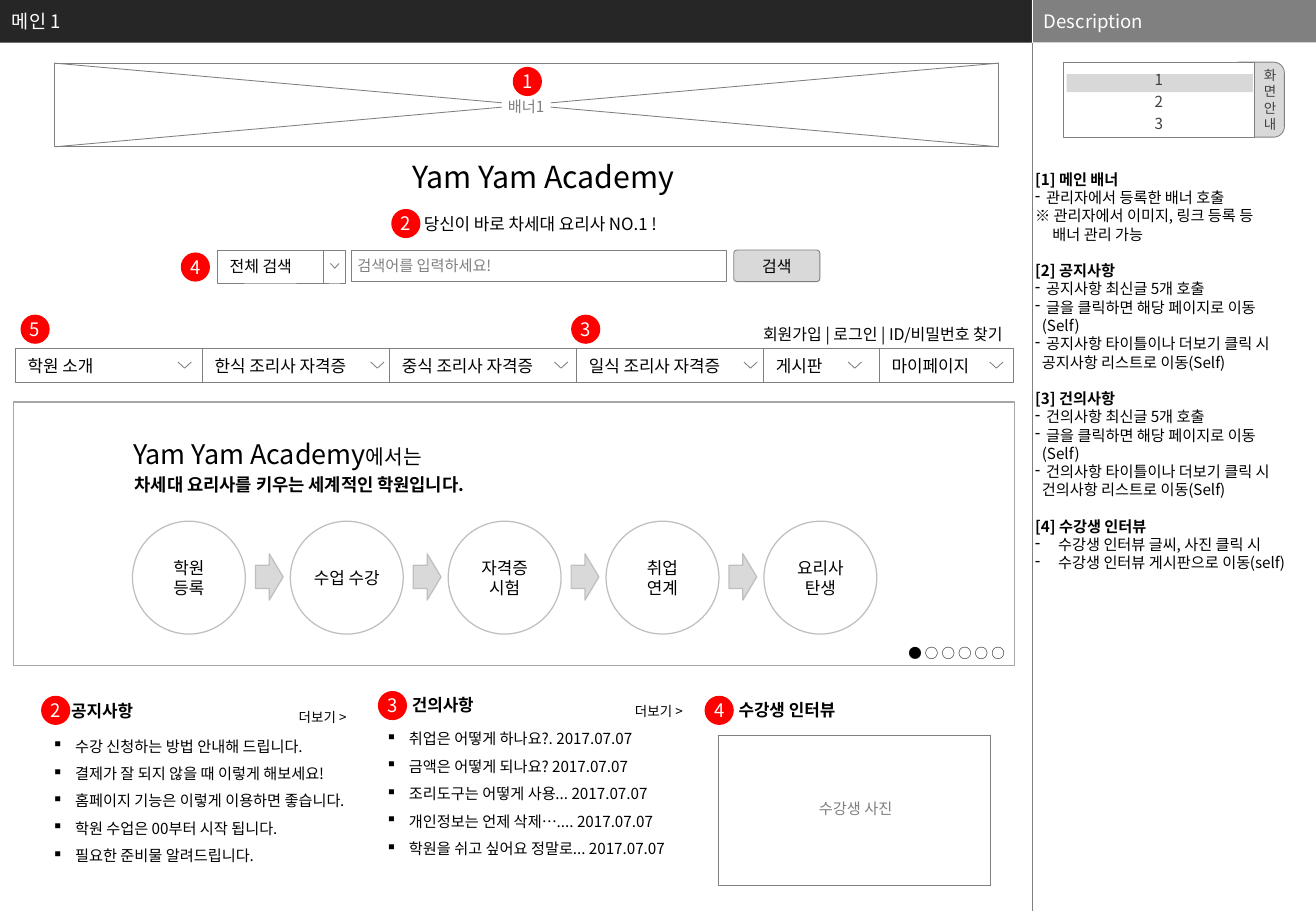
import pptx
import pptx.dml.color
import pptx.enum.shapes
import pptx.enum.text
import pptx.oxml
import pptx.oxml.ns
import pptx.util

Cm = pptx.util.Cm
Pt = pptx.util.Pt
RGB = pptx.dml.color.RGBColor.from_string
Shape = pptx.enum.shapes.MSO_SHAPE
Align = pptx.enum.text.PP_ALIGN
Anchor = pptx.enum.text.MSO_ANCHOR
qn = pptx.oxml.ns.qn


class Theme:
    font = "Noto Sans CJK KR"
    black, white, red = "000000", "FFFFFF", "FF0000"
    bar, dark, gray = "262626", "404040", "808080"
    frame, ring, pale = "A6A6A6", "BFBFBF", "D9D9D9"
    logo, lead, label, strong = 18, 16, 11, 10.5
    accent, body, control, note, small = 12, 10, 9.5, 9, 8


def place(kind, left, top, width, height, fill=None, line=None, weight=0.5):
    area = Cm(left), Cm(top), Cm(width), Cm(height)
    if kind is None:
        return slide.shapes.add_textbox(*area)
    shape = slide.shapes.add_shape(kind, *area)
    shape.shadow.inherit = False
    if fill:
        shape.fill.solid()
        shape.fill.fore_color.rgb = RGB(fill)
    else:
        shape.fill.background()
    if line:
        shape.line.color.rgb = RGB(line)
        shape.line.width = Pt(weight)
    else:
        shape.line.fill.background()
    return shape


def write(shape, text, size, color=Theme.black, bold=False, align=Align.LEFT, anchor=Anchor.TOP,
          margins=(0.25, 0.13), wrap=True, spacing=None, before=0, indent=0, bullet=""):
    frame = shape.text_frame
    frame.word_wrap = wrap
    frame.auto_size = pptx.enum.text.MSO_AUTO_SIZE.NONE
    frame.vertical_anchor = anchor
    frame.margin_left = frame.margin_right = Cm(margins[0])
    frame.margin_top = frame.margin_bottom = Cm(margins[1])
    for words in text.split("\n"):
        paragraph = frame.add_paragraph() if frame.paragraphs[0].runs else frame.paragraphs[0]
        paragraph.alignment = align
        if spacing:
            paragraph.line_spacing = spacing
        paragraph.space_before = Pt(before)
        properties = paragraph._p.get_or_add_pPr()
        if indent:
            properties.set("marL", str(Cm(indent)))
        if bullet:
            properties.set("indent", str(-Cm(indent)))
            mark = pptx.oxml.parse_xml(f'<a:buChar {pptx.oxml.ns.nsdecls("a")} char="{bullet}"/>')
            properties.append(mark)
        run = paragraph.add_run()
        run.text = words
        run.font.size = Pt(size)
        run.font.bold = bold
        run.font.color.rgb = RGB(color)
    return paragraph


deck = pptx.Presentation()
deck.slide_width, deck.slide_height = Cm(27.51), Cm(19.05)
slide = deck.slides.add_slide(deck.slide_layouts[5])

title = slide.shapes.title
title.left, title.top, title.width, title.height = Cm(0), Cm(0), Cm(21.57), Cm(0.89)
title.fill.solid()
title.fill.fore_color.rgb = RGB(Theme.bar)
write(title, "메인 1", Theme.label, Theme.white, anchor=Anchor.MIDDLE)
description_bar = place(Shape.RECTANGLE, 21.57, 0, 5.94, 0.89, Theme.gray)
write(description_bar, "Description", Theme.label, Theme.white, anchor=Anchor.MIDDLE)

place(Shape.RECTANGLE, 1.14, 1.32, 19.74, 1.75, Theme.white, Theme.gray)
for x1, y1, x2, y2, color, weight in [
    (21.57, 0, 21.57, 0.89, Theme.white, 0.25),
    (21.57, 0.89, 21.57, 19.05, Theme.gray, 0.25),
    (1.14, 3.07, 20.88, 1.32, Theme.gray, 0.5),
    (1.14, 1.32, 20.88, 3.07, Theme.gray, 0.5),
]:
    rule = slide.shapes.add_connector(
        pptx.enum.shapes.MSO_CONNECTOR.STRAIGHT, Cm(x1), Cm(y1), Cm(x2), Cm(y2))
    rule.line.color.rgb = RGB(color)
    rule.line.width = Pt(weight)
    rule._element.spPr.append(pptx.oxml.parse_xml(f'<a:effectLst {pptx.oxml.ns.nsdecls("a")}/>'))
banner = place(Shape.RECTANGLE, 10.49, 2.03, 1.02, 0.76, Theme.white)
write(banner, "배너1", Theme.note, Theme.gray, align=Align.CENTER, margins=(0.1, 0))

academy = place(None, 7.59, 3.18, 7.54, 1.02)
write(academy, "Yam Yam Academy", Theme.logo, align=Align.CENTER)
slogan = place(None, 8.61, 4.34, 5.97, 0.69)
write(slogan, "당신이 바로 차세대 요리사 NO.1 !", Theme.body)

search_scope = place(Shape.RECTANGLE, 4.55, 5.23, 2.21, 0.69, Theme.white, Theme.gray)
write(search_scope, "전체 검색", Theme.control, anchor=Anchor.MIDDLE)
place(Shape.RECTANGLE, 6.76, 5.23, 0.46, 0.69, Theme.white, Theme.gray)
search_input = place(Shape.RECTANGLE, 7.34, 5.23, 7.85, 0.66, None, Theme.gray)
write(search_input, "검색어를 입력하세요!", Theme.note, Theme.gray, anchor=Anchor.MIDDLE, margins=(0.13, 0.13))
search_button = place(Shape.ROUNDED_RECTANGLE, 15.34, 5.23, 1.8, 0.66, Theme.pale, Theme.gray)
search_button.adjustments[0] = 0.1
write(search_button, "검색", Theme.control, align=Align.CENTER, anchor=Anchor.MIDDLE, margins=(0.13, 0.13))

account = place(None, 11.96, 6.45, 9.25, 0.79)
write(account, "회원가입 | 로그인 | ID/비밀번호 찾기", Theme.control, align=Align.RIGHT, spacing=1.5)
menu_left = 0.33
for name, step in [("학원 소개", 3.91), ("한식 조리사 자격증", 3.91), ("중식 조리사 자격증", 3.91),
                   ("일식 조리사 자격증", 3.91), ("게시판", 2.42), ("마이페이지", 2.72)]:
    menu = place(Shape.RECTANGLE, menu_left, 7.29, step + 0.08, 0.71, Theme.white, Theme.gray)
    write(menu, name, Theme.body, anchor=Anchor.MIDDLE)
    menu_left += step
for left, top, width, height in [(6.91, 5.51, 0.18, 0.1)] + [
        (left, 7.57, 0.28, 0.13) for left in (3.72, 7.75, 11.59, 15.55, 17.73, 20.69)]:
    builder = slide.shapes.build_freeform(Cm(left), Cm(top))
    builder.add_line_segments(
        [(Cm(left + width / 2), Cm(top + height)), (Cm(left + width), Cm(top))], close=False)
    chevron = builder.convert_to_shape()
    chevron.shadow.inherit = False
    chevron.fill.background()
    chevron.line.color.rgb = RGB(Theme.gray)
    chevron.line.width = Pt(0.5)

place(Shape.RECTANGLE, 0.28, 8.41, 20.93, 5.51, None, Theme.frame, 1)
intro = write(place(None, 2.54, 9.02, 11, 0.94), "Yam Yam Academy", Theme.lead)
intro_ending = intro.add_run()
intro_ending.text = "에서는"
intro_ending.font.size = Pt(Theme.accent)
intro_ending.font.color.rgb = RGB(Theme.black)
mission = place(None, 2.57, 9.78, 11.56, 0.71)
write(mission, "차세대 요리사를 키우는 세계적인 학원입니다.", Theme.strong, bold=True)
for index, stage in enumerate(["학원\n등록", "수업 수강", "자격증\n시험", "취업\n연계", "요리사\n탄생"]):
    circle = place(Shape.OVAL, 2.77 + 3.3 * index, 10.9, 2.36, 2.36, None, Theme.ring, 0.75)
    write(circle, stage, Theme.body, align=Align.CENTER, anchor=Anchor.MIDDLE, margins=(0.1, 0.1), wrap=False)
    if index < 4:
        place(Shape.RIGHT_ARROW, 5.34 + 3.3 * index, 11.58, 0.58, 0.97, Theme.pale, Theme.ring, 0.75)
pager = place(None, 18.44, 13.18, 3.12, 0.71)
write(pager, "● ○ ○ ○ ○ ○", Theme.small, align=Align.CENTER, spacing=1.5)

for heading, left, top in [("공지사항", 1.24, 14.53), ("건의사항", 8.36, 14.4), ("수강생 인터뷰", 15.19, 14.5)]:
    write(place(None, left, top, 3.63, 0.69), heading, Theme.body, bold=True)
for left, top in [(5.64, 14.53), (12.67, 14.4)]:
    write(place(None, left, top, 2.21, 0.71), "더보기 >", Theme.small, align=Align.CENTER, spacing=1.5)
notices = """수강 신청하는 방법 안내해 드립니다.
결제가 잘 되지 않을 때 이렇게 해보세요!
홈페이지 기능은 이렇게 이용하면 좋습니다.
학원 수업은 00부터 시작 됩니다.
필요한 준비물 알려드립니다."""
suggestions = """취업은 어떻게 하나요?. 2017.07.07
금액은 어떻게 되나요? 2017.07.07
조리도구는 어떻게 사용... 2017.07.07
개인정보는 언제 삭제….... 2017.07.07
학원을 쉬고 싶어요 정말로... 2017.07.07"""
for posts, left, top in [(notices, 0.84, 15.09), (suggestions, 7.82, 14.94)]:
    write(place(None, left, top, 7.19, 3.15), posts, Theme.note, spacing=1.5, indent=0.48, bullet="▪")

photo = slide.shapes.add_table(1, 1, Cm(15.01), Cm(15.37), Cm(5.69), Cm(3.15)).table
photo.first_row = photo.horz_banding = False
photo_cell = photo.cell(0, 0)
for side in ("lnL", "lnR", "lnT", "lnB"):
    photo_cell._tc.get_or_add_tcPr().append(pptx.oxml.parse_xml(
        f'<a:{side} {pptx.oxml.ns.nsdecls("a")} w="{Pt(0.5)}"><a:solidFill>'
        f'<a:srgbClr val="{Theme.gray}"/></a:solidFill></a:{side}>'))
photo_cell.fill.background()
photo_label = place(None, 16.31, 16.59, 3.15, 0.64)
write(photo_label, "수강생 사진", Theme.note, Theme.gray, align=Align.CENTER)

for number, left, top in [(1, 10.72, 1.4), (2, 8.18, 4.37), (4, 3.78, 5.28), (5, 0.43, 6.58),
                          (3, 11.94, 6.58), (2, 0.86, 14.55), (3, 7.9, 14.45), (4, 14.73, 14.55)]:
    badge = place(Shape.OVAL, left, top, 0.61, 0.61, Theme.red)
    write(badge, str(number), Theme.label, Theme.white, align=Align.CENTER,
          anchor=Anchor.MIDDLE, margins=(0, 0), wrap=False)

guide_tab = place(Shape.ROUNDED_RECTANGLE, 25.68, 1.3, 1.17, 1.57, Theme.pale, Theme.gray)
guide_tab.adjustments[0] = 0.19
write(guide_tab, "화\n면\n안\n내", Theme.small, Theme.dark, align=Align.RIGHT, anchor=Anchor.MIDDLE, margins=(0.1, 0))
guide = place(Shape.RECTANGLE, 22.23, 1.3, 3.99, 1.57, Theme.white, Theme.gray)
write(guide, "1\n2\n3", Theme.note, Theme.dark, align=Align.CENTER, anchor=Anchor.MIDDLE,
      margins=(0.1, 0.1), spacing=1.2)
current_page = place(Shape.RECTANGLE, 22.3, 1.55, 3.89, 0.38, Theme.dark)
current_page._element.spPr.find(qn("a:solidFill"))[0].append(
    pptx.oxml.parse_xml(f'<a:alpha {pptx.oxml.ns.nsdecls("a")} val="20000"/>'))

description = place(None, 21.54, 3.56, 5.97, 15.49)
for heading, details in [
    ("[1] 메인 배너", [("-", 0.23, "관리자에서 등록한 배너 호출"), ("", 0, "※ 관리자에서 이미지, 링크 등록 등"),
                    ("", 0.36, "배너 관리 가능")]),
    *[(f"[{number}] {board}", [
        ("-", 0.23, f"{board} 최신글 5개 호출"), ("-", 0.23, "글을 클릭하면 해당 페이지로 이동"),
        ("", 0.14, "(Self)"), ("-", 0.23, f"{board} 타이틀이나 더보기 클릭 시"),
        ("", 0.14, f"{board} 리스트로 이동(Self)")]) for number, board in [(2, "공지사항"), (3, "건의사항")]],
    ("[4] 수강생 인터뷰", [("-", 0.48, "수강생 인터뷰 글씨, 사진 클릭 시"),
                      ("-", 0.48, "수강생 인터뷰 게시판으로 이동(self)")]),
]:
    gap = 10.8 if description.text_frame.text else 0
    write(description, heading, Theme.note, bold=True, margins=(0.1, 0), before=gap)
    for bullet, indent, detail in details:
        write(description, detail, Theme.note, margins=(0.1, 0), indent=indent, bullet=bullet)

for properties in slide.element.iter(qn("a:rPr")):
    for script in ("latin", "ea"):
        properties.append(pptx.oxml.parse_xml(
            f'<a:{script} {pptx.oxml.ns.nsdecls("a")} typeface="{Theme.font}"/>'))

deck.save("out.pptx")
